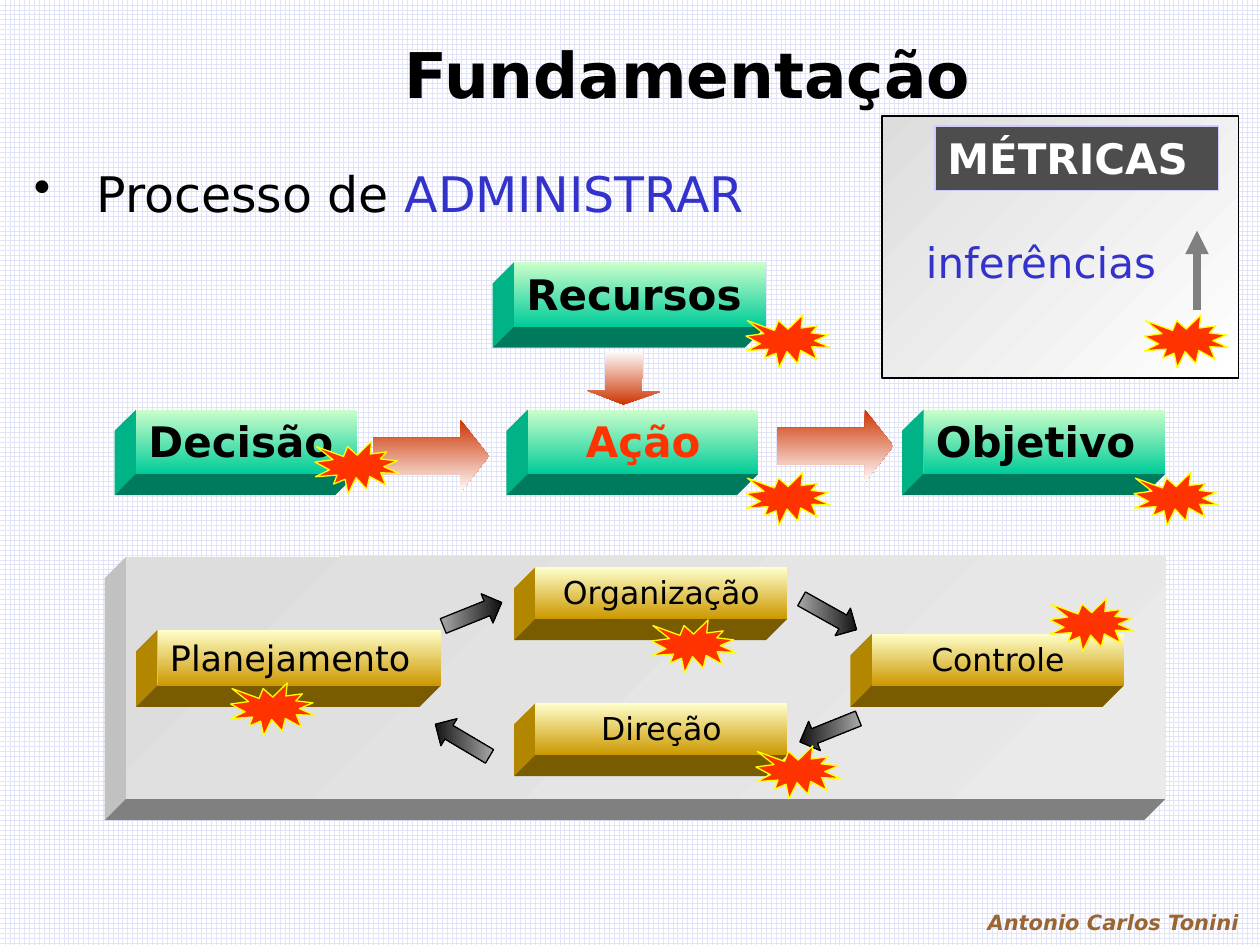
from dataclasses import dataclass

import pptx
import pptx.dml.color
import pptx.enum.dml
import pptx.enum.shapes
import pptx.enum.text
import pptx.oxml
import pptx.oxml.ns
import pptx.util

Inches = pptx.util.Inches
Pt = pptx.util.Pt
RGBColor = pptx.dml.color.RGBColor
Shape = pptx.enum.shapes.MSO_SHAPE
Align = pptx.enum.text.PP_ALIGN
Anchor = pptx.enum.text.MSO_ANCHOR
qn = pptx.oxml.ns.qn

FONT = "DejaVu Sans"
BLACK = RGBColor(0x00, 0x00, 0x00)
WHITE = RGBColor(0xFF, 0xFF, 0xFF)
BLUE = RGBColor(0x33, 0x33, 0xCC)
BROWN = RGBColor(0x99, 0x66, 0x33)
RED = RGBColor(0xFF, 0x33, 0x00)
YELLOW = RGBColor(0xFF, 0xFF, 0x00)
BRICK = RGBColor(0xCC, 0x33, 0x00)
GRID = RGBColor(0xE1, 0xE4, 0xF7)
LAVENDER = RGBColor(0xCC, 0xCC, 0xFF)
CHARCOAL = RGBColor(0x4D, 0x4D, 0x4D)
GREY = RGBColor(0x80, 0x80, 0x80)
SILVER = RGBColor(0xB2, 0xB2, 0xB2)
PALE_GREY = RGBColor(0xDD, 0xDD, 0xDD)

DEPTH = 0.17
BURST_SIZE = (0.67, 0.42)


@dataclass(frozen=True)
class Palette:
    start: RGBColor
    end: RGBColor
    left: RGBColor
    bottom: RGBColor
    angle: int = 90


GREEN = Palette(RGBColor(0xCC, 0xFF, 0xCC), RGBColor(0x00, 0xCC, 0x99),
                RGBColor(0x00, 0xB3, 0x86), RGBColor(0x00, 0x7A, 0x5C))
GOLD = Palette(RGBColor(0xFF, 0xFF, 0xCC), RGBColor(0xCC, 0x99, 0x00),
               RGBColor(0xB3, 0x86, 0x00), RGBColor(0x7A, 0x5C, 0x00))
STONE = Palette(PALE_GREY, RGBColor(0xEA, 0xEA, 0xEA),
                RGBColor(0xC1, 0xC1, 0xC1), GREY, 45)


@dataclass(frozen=True)
class Block:
    box: tuple[float, float, float, float]
    palette: Palette
    text: str = ""
    size: int = 24
    bold: bool = False
    color: RGBColor = BLACK
    align: Align = Align.CENTER


@dataclass(frozen=True)
class Arrow:
    box: tuple[float, float, float, float]
    start: RGBColor
    end: RGBColor
    angle: int = 0
    rotation: float = 0
    head: float = 0.5
    outline: RGBColor | None = None


BLOCKS = [
    Block((7.33, 3.25, 1.92, 0.51), GREEN, "Objetivo", bold=True, align=Align.LEFT),
    Block((1.08, 3.25, 1.75, 0.51), GREEN, "Decisão", bold=True, align=Align.LEFT),
    Block((4.19, 3.25, 1.83, 0.51), GREEN, "Ação", bold=True, color=RED),
    Block((4.08, 2.08, 2, 0.51), GREEN, "Recursos", bold=True, align=Align.LEFT),
    Block((1, 4.42, 8.25, 1.92), STONE),
    Block((1.25, 5, 2.25, 0.44), GOLD, "Planejamento", 20, align=Align.LEFT),
    Block((4.25, 4.5, 2, 0.41), GOLD, "Organização", 18),
    Block((4.25, 5.58, 2, 0.41), GOLD, "Direção", 18),
    Block((6.92, 5.03, 2, 0.41), GOLD, "Controle", 18),
]
ARROWS = [
    Arrow((2.96, 3.33, 0.92, 0.58), BRICK, WHITE, 90, head=0.39),
    Arrow((6.17, 3.25, 0.92, 0.58), BRICK, WHITE, 90, head=0.39),
    Arrow((4.74, 2.71, 0.42, 0.58), WHITE, BRICK, 90, rotation=91.2, head=0.25),
    Arrow((3.5, 4.75, 0.5, 0.25), SILVER, BLACK, rotation=338.1, outline=BLACK),
    Arrow((6.33, 5.67, 0.5, 0.25), BLACK, SILVER, rotation=158.1, outline=BLACK),
    Arrow((3.42, 5.75, 0.5, 0.25), BLACK, SILVER, rotation=210.7, outline=BLACK),
    Arrow((6.33, 4.75, 0.5, 0.25), SILVER, BLACK, rotation=29.3, outline=BLACK),
]
PROCESS_BURSTS = [(5.92, 3.75), (2.5, 3.5), (1.83, 5.42), (5.92, 2.5),
                  (9, 3.75), (5.17, 4.92), (6, 5.92), (8.33, 4.75)]


def write(frame, text: str, *, size: int, color: RGBColor = BLACK, bold: bool = False,
          italic: bool = False, align: Align = Align.LEFT, anchor: Anchor = Anchor.TOP):
    """Append a formatted run to the first paragraph of the frame."""
    frame.word_wrap = True
    frame.vertical_anchor = anchor
    paragraph = frame.paragraphs[0]
    paragraph.alignment = align
    run = paragraph.add_run()
    run.text = text
    font = run.font
    font.name, font.size, font.bold, font.italic = FONT, Pt(size), bold, italic
    font.color.rgb = color
    return paragraph


def add_label(slide, box: tuple, text: str, **style):
    label = slide.shapes.add_textbox(*map(Inches, box))
    return write(label.text_frame, text, **style)


def set_outline(shape, color: RGBColor | None) -> None:
    if color is None:
        shape.line.fill.background()
    else:
        shape.line.color.rgb = color
        shape.line.width = Pt(0.75)


def add_figure(slide, kind: Shape, box: tuple, fill: RGBColor | None = None,
               outline: RGBColor | None = None):
    figure = slide.shapes.add_shape(kind, *map(Inches, box))
    figure.shadow.inherit = False
    set_outline(figure, outline)
    if fill is not None:
        figure.fill.solid()
        figure.fill.fore_color.rgb = fill
    return figure


def shade(shape, start: RGBColor, end: RGBColor, angle: int) -> None:
    """Fill with a clockwise-angled gradient that stays put when the shape turns."""
    shape.fill.gradient()
    shape.fill.gradient_angle = (360 - angle) % 360
    for stop, color in zip(shape.fill.gradient_stops, (start, end)):
        stop.color.rgb = color
    shape._element.spPr.find(qn("a:gradFill")).set("rotWithShape", "0")


def add_side(slide, points: list[tuple[float, float]], color: RGBColor) -> None:
    corners = [(Inches(x), Inches(y)) for x, y in points]
    builder = slide.shapes.build_freeform(*corners[0])
    builder.add_line_segments(corners[1:], close=True)
    side = builder.convert_to_shape()
    side.shadow.inherit = False
    side.fill.solid()
    side.fill.fore_color.rgb = color
    set_outline(side, None)


def add_block(slide, block: Block) -> None:
    """Draw a front face with its left and bottom sides in relief."""
    left, top, width, height = block.box
    right, bottom = left + width, top + height
    back_left, back_bottom = left - DEPTH, bottom + DEPTH
    palette = block.palette
    add_side(slide, [(left, top), (back_left, top + DEPTH),
                     (back_left, back_bottom), (left, bottom)], palette.left)
    add_side(slide, [(left, bottom), (back_left, back_bottom),
                     (right - DEPTH, back_bottom), (right, bottom)], palette.bottom)
    face = add_figure(slide, Shape.RECTANGLE, block.box)
    shade(face, palette.start, palette.end, palette.angle)
    if block.text:
        write(face.text_frame, block.text, size=block.size, color=block.color,
              bold=block.bold, align=block.align)


def add_arrow(slide, arrow: Arrow) -> None:
    figure = add_figure(slide, Shape.RIGHT_ARROW, arrow.box, outline=arrow.outline)
    figure.adjustments[1] = arrow.head
    figure.rotation = arrow.rotation
    shade(figure, arrow.start, arrow.end, arrow.angle)


def add_burst(slide, left: float, top: float) -> None:
    add_figure(slide, Shape.EXPLOSION1, (left, top, *BURST_SIZE), RED, YELLOW)


def add_topic(slide) -> None:
    topic = add_label(slide, (0.17, 1.25, 6.75, 0.6), "Processo de ", size=28)
    properties = topic._p.get_or_add_pPr()
    properties.set("marL", str(Inches(0.5)))
    properties.set("indent", str(-Inches(0.5)))
    pptx.oxml.ns.qn
    bullet = properties.makeelement(qn("a:buChar"), {"char": "•"})
    properties.append(bullet)
    emphasis = topic.add_run()
    emphasis.text = "ADMINISTRAR"
    emphasis.font.name, emphasis.font.size = FONT, Pt(28)
    emphasis.font.color.rgb = BLUE


def add_metrics(slide) -> None:
    panel = add_figure(slide, Shape.RECTANGLE, (7, 0.92, 2.83, 2.08), outline=BLACK)
    shade(panel, PALE_GREY, WHITE, 45)
    add_burst(slide, 9.08, 2.5)
    heading = add_figure(slide, Shape.RECTANGLE, (7.42, 1, 2.25, 0.51), CHARCOAL, LAVENDER)
    write(heading.text_frame, "MÉTRICAS", size=24, color=WHITE, bold=True)
    pointer = slide.shapes.add_connector(
        pptx.enum.shapes.MSO_CONNECTOR.STRAIGHT, *map(Inches, (9.5, 2.46, 9.5, 1.83)))
    pointer.line.color.rgb = GREY
    pointer.line.width = Pt(4.5)
    line = pointer.line._get_or_add_ln()
    line.append(line.makeelement(qn("a:tailEnd"), {"type": "triangle"}))
    effects = pointer._element.spPr
    effects.append(effects.makeelement(qn("a:effectLst"), {}))
    add_label(slide, (7.25, 1.83, 2.08, 0.5), "inferências", size=24, color=BLUE)


def main() -> None:
    deck = pptx.Presentation()
    deck.slide_width, deck.slide_height = Inches(10), Inches(7.5)
    slide = deck.slides.add_slide(deck.slide_layouts[5])
    backdrop = slide.background.fill
    backdrop.patterned()
    backdrop.pattern = pptx.enum.dml.MSO_PATTERN.LARGE_GRID
    backdrop.fore_color.rgb, backdrop.back_color.rgb = GRID, WHITE

    title = slide.shapes.title
    title.left, title.top, title.width, title.height = map(Inches, (1.08, 0.17, 8.75, 0.83))
    write(title.text_frame, "Fundamentação", size=36, bold=True,
          align=Align.CENTER, anchor=Anchor.MIDDLE)
    add_label(slide, (7.67, 7.17, 2.33, 0.33), "Antonio Carlos Tonini", size=12,
              color=BROWN, bold=True, italic=True, align=Align.CENTER)
    add_topic(slide)
    for block in BLOCKS:
        add_block(slide, block)
    for arrow in ARROWS:
        add_arrow(slide, arrow)
    for left, top in PROCESS_BURSTS:
        add_burst(slide, left, top)
    add_metrics(slide)
    deck.save("out.pptx")


if __name__ == "__main__":
    main()
